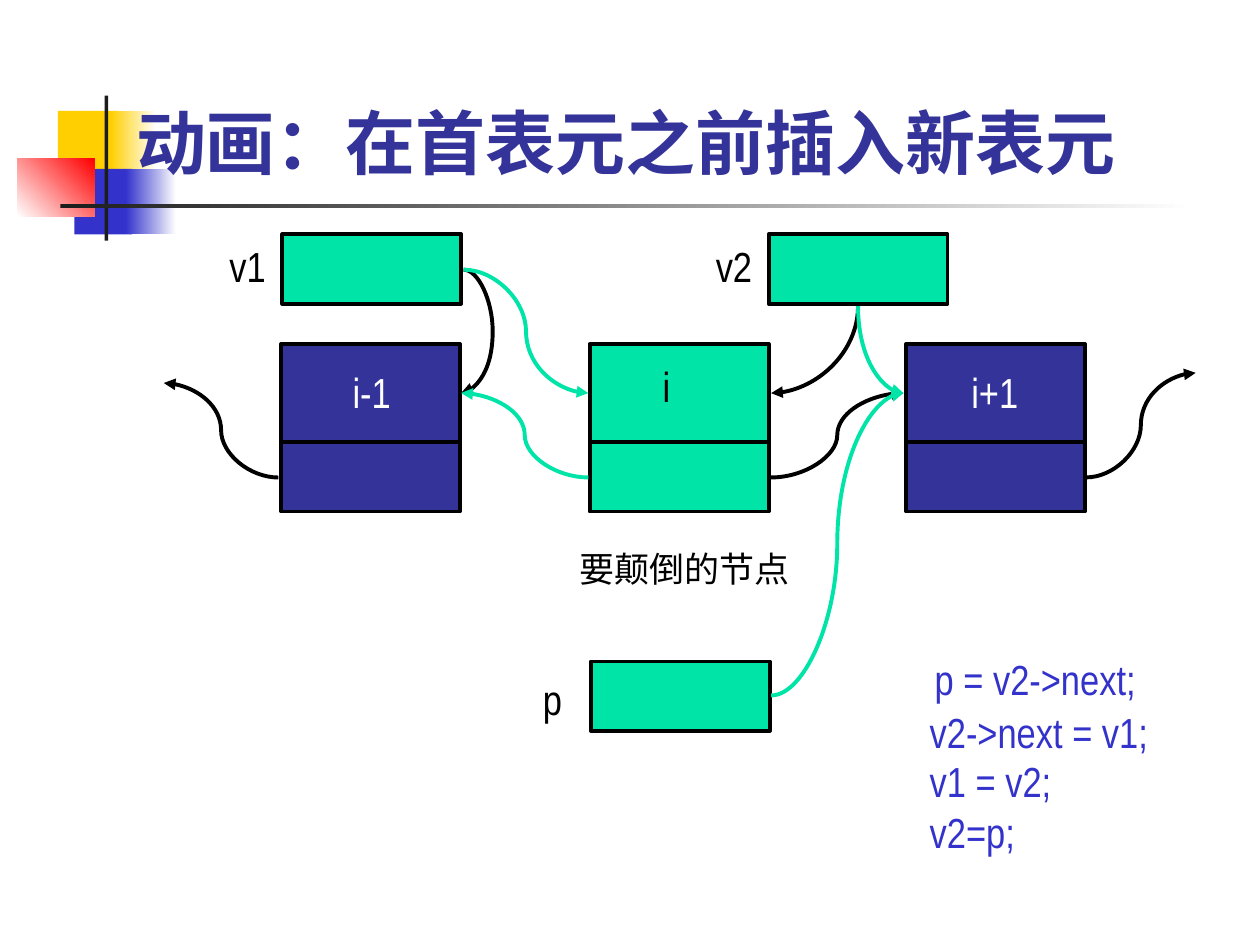
from dataclasses import dataclass

from lxml import etree
from pptx import Presentation
from pptx.dml.color import RGBColor
from pptx.enum.shapes import MSO_CONNECTOR, MSO_SHAPE
from pptx.enum.text import MSO_ANCHOR, MSO_AUTO_SIZE, PP_ALIGN
from pptx.oxml.ns import qn
from pptx.util import Inches, Pt

CURVE = MSO_CONNECTOR.CURVE
RECT = MSO_SHAPE.RECTANGLE
LEFT, CENTER = PP_ALIGN.LEFT, PP_ALIGN.CENTER


@dataclass(frozen=True)
class Theme:
    black: str = "000000"
    white: str = "FFFFFF"
    ink: str = "1C1C1C"
    yellow: str = "FFCF01"
    red: str = "FF0000"
    blue: str = "3333CC"
    navy: str = "333399"
    green: str = "00E4A8"
    title_font: str = "DejaVu Sans Mono"
    body_font: str = "Arial Narrow"
    title_size: int = 40
    label_size: int = 24
    caption_size: int = 20
    line: float = 2.25


THEME = Theme()
NODE_W, DATA_H, LINK_H = 1.42, 0.79, 0.55
NODE_TOP, LINK_TOP = 2.73, 3.51
DATA_Y, LINK_Y = 3.12, 3.79  # heights at which arrows meet the node halves


def rgb(code):
    return RGBColor.from_string(code)


def add_rect(slide, left, top, width, height, color, fade_to=None, angle=0):
    sp = slide.shapes.add_shape(
        RECT, Inches(left), Inches(top), Inches(width), Inches(height))
    sp.shadow.inherit = False
    sp.line.fill.background()
    if fade_to is None:
        sp.fill.solid()
        sp.fill.fore_color.rgb = rgb(color)
    else:
        sp.fill.gradient()
        sp.fill.gradient_angle = angle
        for stop, code in zip(sp.fill.gradient_stops, (color, fade_to)):
            stop.color.rgb = rgb(code)
    return sp


def add_cell(slide, left, top, height, color):
    sp = add_rect(slide, left, top, NODE_W, height, color)
    sp.line.color.rgb = rgb(THEME.black)
    sp.line.width = Pt(THEME.line)


def add_node(slide, left, color):
    """A list node: data half above, link half below."""
    add_cell(slide, left, NODE_TOP, DATA_H, color)
    add_cell(slide, left, LINK_TOP, LINK_H, color)


def add_label(slide, text, left, top, width, color=THEME.black,
              align=LEFT, size=THEME.label_size, height=0.5):
    sp = slide.shapes.add_textbox(
        Inches(left), Inches(top), Inches(width), Inches(height))
    tf = sp.text_frame
    tf.word_wrap = True
    tf.text = text
    p = tf.paragraphs[0]
    p.alignment = align
    font = p.runs[0].font
    font.name = THEME.body_font
    font.size = Pt(size)
    font.color.rgb = rgb(color)


def add_curve(slide, x1, y1, x2, y2, color):
    c = slide.shapes.add_connector(
        CURVE, Inches(x1), Inches(y1), Inches(x2), Inches(y2))
    c.line.color.rgb = rgb(color)
    c.line.width = Pt(THEME.line)
    ln = c.line._get_or_add_ln()
    etree.SubElement(ln, qn("a:tailEnd"), type="triangle")
    etree.SubElement(c._element.spPr, qn("a:effectLst"))
    return c


def add_s_arrow(slide, start, end, color, bend_x=None):
    """Arrow that leaves and arrives sideways, turning at bend_x."""
    (x1, y1), (x2, y2) = start, end
    c = add_curve(slide, x1, y1, x2, y2, color)
    if bend_x is not None:
        adjust = round((bend_x - x1) / (x2 - x1) * 100000)
        guides = c._element.spPr.prstGeom.get_or_add_avLst()
        etree.SubElement(guides, qn("a:gd"), name="adj1", fmla=f"val {adjust}")


def add_drop_arrow(slide, start, end, color):
    """Arrow that leaves downwards and arrives sideways: a turned quarter curve."""
    (x1, y1), (x2, y2) = start, end
    cx, cy = (x1 + x2) / 2, (y1 + y2) / 2
    half_h = abs(x2 - x1) / 2
    to_right = x2 > x1
    half_w = (y2 - y1) / 2 * (-1 if to_right else 1)
    c = add_curve(slide, cx - half_w, cy - half_h, cx + half_w, cy + half_h, color)
    sp_pr = c._element.spPr
    sp_pr.prstGeom.set("prst", "curvedConnector2")
    sp_pr.xfrm.set("rot", str((270 if to_right else 90) * 60000))


def add_decoration(slide):
    add_rect(slide, 0.46, 0.88, 0.48, 0.52, THEME.yellow)
    add_rect(slide, 0.88, 0.88, 0.36, 0.52, THEME.yellow, THEME.white)
    add_rect(slide, 0.59, 1.34, 0.46, 0.52, THEME.blue)
    add_rect(slide, 1, 1.34, 0.4, 0.52, THEME.blue, THEME.white)
    add_rect(slide, 0.14, 1.26, 0.61, 0.46, THEME.white, THEME.red, angle=45)
    add_rect(slide, 0.83, 0.76, 0.03, 1.15, THEME.ink)
    add_rect(slide, 0.48, 1.62, 9, 0.03, THEME.ink, THEME.white)


def set_title(slide, text):
    title = slide.shapes.title
    title.left, title.top = Inches(0.98), Inches(0.36)
    title.width, title.height = Inches(8.52), Inches(1.15)
    tf = title.text_frame
    tf.text = text
    tf.auto_size = MSO_AUTO_SIZE.NONE
    tf.vertical_anchor = MSO_ANCHOR.BOTTOM
    p = tf.paragraphs[0]
    p.alignment = LEFT
    font = p.runs[0].font
    font.name = THEME.title_font
    font.size = Pt(THEME.title_size)
    font.bold = True
    font.color.rgb = rgb(THEME.navy)
    slide.shapes._spTree.append(title._element)  # in front of the decoration


def add_boxes(slide):
    for left, color in ((2.23, THEME.navy), (4.68, THEME.green), (7.19, THEME.navy)):
        add_node(slide, left, color)
    for left, top in ((2.24, 1.86), (6.1, 1.86), (4.69, 5.25)):
        add_cell(slide, left, top, LINK_H, THEME.green)


def add_labels(slide):
    add_label(slide, "v1", 1.61, 1.86, 0.71, align=CENTER)
    add_label(slide, "v2", 5.47, 1.86, 0.71, align=CENTER)
    add_label(slide, "p", 4.21, 5.3, 0.55)
    add_label(slide, "i-1", 2.48, 2.86, 0.94, THEME.white, CENTER)
    add_label(slide, "i", 5.16, 2.81, 0.55)
    add_label(slide, "i+1", 7.42, 2.86, 0.95, THEME.white, CENTER)
    add_label(slide, "要颠倒的节点", 4.29, 4.3, 2.28, align=CENTER,
              size=THEME.caption_size, height=0.43)
    code = (("p = v2->next;", 7.32, 5.14), ("v2->next = v1;", 7.28, 5.56),
            ("v1 = v2;", 7.28, 5.95), ("v2=p;", 7.28, 6.35))
    for text, left, top in code:
        add_label(slide, text, left, top, 2.5, THEME.blue)


def add_arrows(slide):
    v1, v2, p = (3.68, 2.14), (6.81, 2.43), (6.12, 5.52)
    previous, current, following = (3.66, DATA_Y), (4.67, DATA_Y), (7.17, DATA_Y)
    current_right = (6.12, DATA_Y)

    # Links before the insertion
    add_s_arrow(slide, (6.12, LINK_Y), following, THEME.black)
    add_s_arrow(slide, (8.62, LINK_Y), (9.49, 2.96), THEME.black)
    add_s_arrow(slide, (2.21, LINK_Y), (1.3, 3.04), THEME.black)
    add_s_arrow(slide, v1, previous, THEME.black, bend_x=3.91)
    add_drop_arrow(slide, v2, current_right, THEME.black)

    # Links after the insertion
    add_s_arrow(slide, p, following, THEME.green)
    add_s_arrow(slide, (4.67, LINK_Y), previous, THEME.green)
    add_s_arrow(slide, v1, current, THEME.green)
    add_drop_arrow(slide, v2, following, THEME.green)


def main():
    prs = Presentation()
    prs.slide_width, prs.slide_height = Inches(10), Inches(7.5)
    slide = prs.slides.add_slide(prs.slide_layouts[5])
    add_decoration(slide)
    set_title(slide, "动画：在首表元之前插入新表元")
    add_boxes(slide)
    add_labels(slide)
    add_arrows(slide)
    prs.save("out.pptx")


if __name__ == "__main__":
    main()
